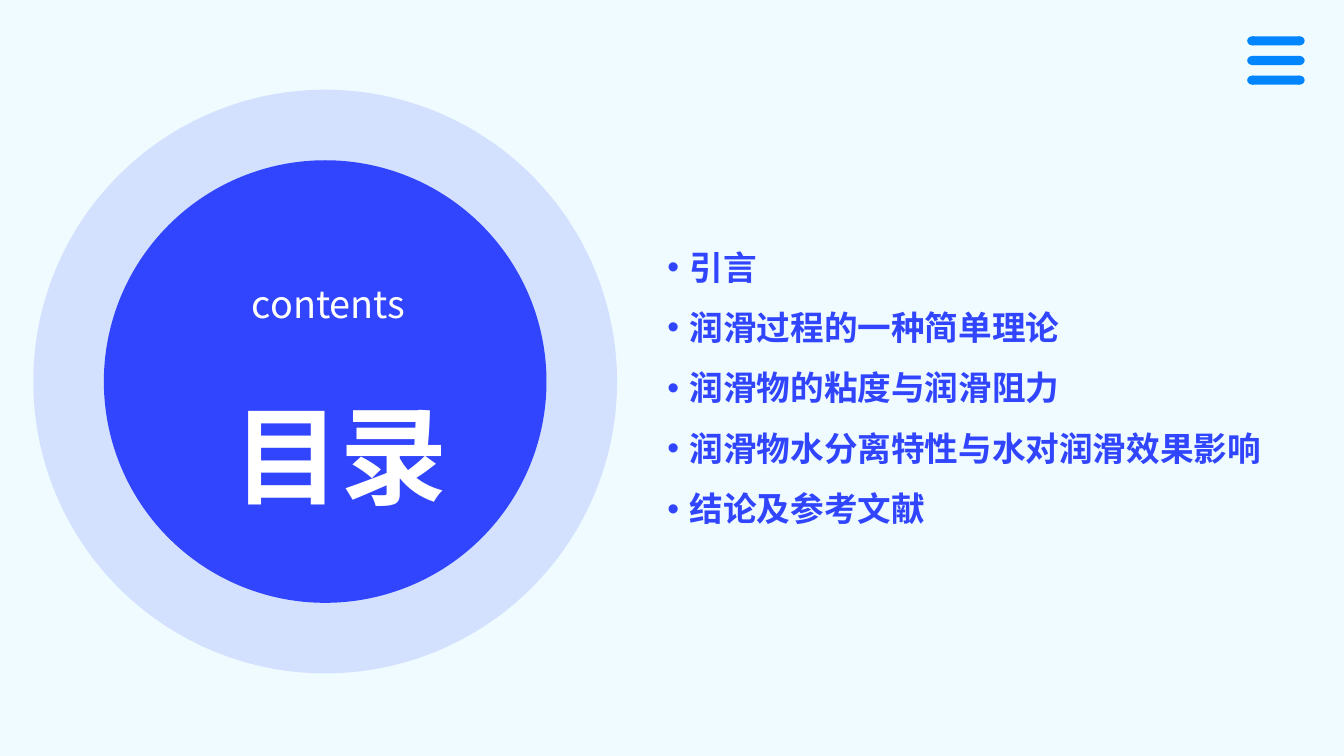
from lxml.etree import SubElement
from pptx import Presentation
from pptx.dml.color import RGBColor
from pptx.enum.shapes import MSO_SHAPE as Shape
from pptx.enum.text import MSO_ANCHOR as Anchor, MSO_AUTO_SIZE as AutoSize, PP_ALIGN as Align
from pptx.oxml.ns import qn
from pptx.util import Inches, Pt

COLORS = {"background": "EFFBFF", "blue": "3045FD", "menu": "0085FF", "white": "FFFFFF"}
FONT = "Noto Sans CJK SC"
WIDTH, HEIGHT = 13.33, 7.5
BULLET_INDENT = 0.22
CHAPTERS = [
    "引言",
    "润滑过程的一种简单理论",
    "润滑物的粘度与润滑阻力",
    "润滑物水分离特性与水对润滑效果影响",
    "结论及参考文献",
]


def color(name):
    return RGBColor.from_string(COLORS[name])


def add_filled(slide, kind, box, fill, opacity=100):
    shape = slide.shapes.add_shape(kind, *map(Inches, box))
    shape.shadow.inherit = False
    shape.fill.solid()
    shape.fill.fore_color.rgb = color(fill)
    shape.line.fill.background()
    if opacity < 100:
        tint = shape.fill._xPr.find(qn("a:solidFill"))[0]
        SubElement(tint, qn("a:alpha"), val=str(opacity * 1000))
    return shape


def add_bullet(paragraph):
    props = paragraph._p.get_or_add_pPr()
    props.set("marL", str(Inches(BULLET_INDENT)))
    props.set("indent", str(-Inches(BULLET_INDENT)))
    SubElement(props, qn("a:buFont"), typeface="Arial")
    SubElement(props, qn("a:buChar"), char="•")


def write_text(holder, box, lines, size, fill, bold=False, align=Align.LEFT,
               anchor=Anchor.TOP, spacing=1.0, bullets=False):
    holder.left, holder.top, holder.width, holder.height = map(Inches, box)
    frame = holder.text_frame
    frame.word_wrap = True
    frame.auto_size = AutoSize.SHAPE_TO_FIT_TEXT
    frame.vertical_anchor = anchor
    frame.margin_left = frame.margin_top = frame.margin_bottom = Inches(0.14)
    frame.margin_right = Inches(0.06)
    for index, line in enumerate(lines):
        paragraph = frame.add_paragraph() if index else frame.paragraphs[0]
        paragraph.alignment = align
        paragraph.line_spacing = spacing
        if bullets:
            add_bullet(paragraph)
        run = paragraph.add_run()
        run.text = line
        run.font.size = Pt(size)
        run.font.bold = bold
        run.font.color.rgb = color(fill)
        run.font.name = FONT
        SubElement(run._r.get_or_add_rPr(), qn("a:ea"), typeface=FONT)


def add_text_box(slide, box, lines, **style):
    write_text(slide.shapes.add_textbox(*map(Inches, box)), box, lines, **style)


def build_emblem(slide, left, top, diameter):
    ring = 0.7
    inner = diameter - 2 * ring
    add_filled(slide, Shape.OVAL, (left, top, diameter, diameter), "blue", opacity=14)
    disc = add_filled(slide, Shape.OVAL, (left + ring, top + ring, inner, inner), "blue")

    heading = slide.shapes.title
    disc._element.addnext(heading._element)
    style = dict(fill="white", align=Align.CENTER, spacing=1.86)
    write_text(heading, (left + 1.02, top + 1.74, 3.97, 2.76), ["目录"],
               size=76.5, bold=True, **style)
    add_text_box(slide, (left + 1.2, top + 1.37, 3.38, 1.14), ["contents"], size=27, **style)


def build_chapters(slide, box):
    add_text_box(slide, box, CHAPTERS, size=24, fill="blue", bold=True,
                 anchor=Anchor.MIDDLE, spacing=1.5, bullets=True)


def build_menu_icon(slide, left, top, width):
    thickness, cap, pitch = 0.09, 0.1, 0.195
    for row in range(3):
        bar_top = top + row * pitch
        for cap_left in (left, left + width - cap):
            add_filled(slide, Shape.OVAL, (cap_left, bar_top, cap, thickness), "menu")
        add_filled(slide, Shape.RECTANGLE,
                   (left + cap / 2, bar_top, width - cap, thickness), "menu")


def build_contents_slide(deck):
    slide = deck.slides.add_slide(deck.slide_layouts.get_by_name("Title Only"))
    slide.background.fill.solid()
    slide.background.fill.fore_color.rgb = color("background")
    build_emblem(slide, 0.33, 0.89, 5.79)
    build_chapters(slide, (6.48, 2.13, 6.35, 3.23))
    build_menu_icon(slide, 12.37, 0.36, 0.57)


def main():
    deck = Presentation()
    deck.slide_width, deck.slide_height = Inches(WIDTH), Inches(HEIGHT)
    build_contents_slide(deck)
    deck.save("out.pptx")


if __name__ == "__main__":
    main()
